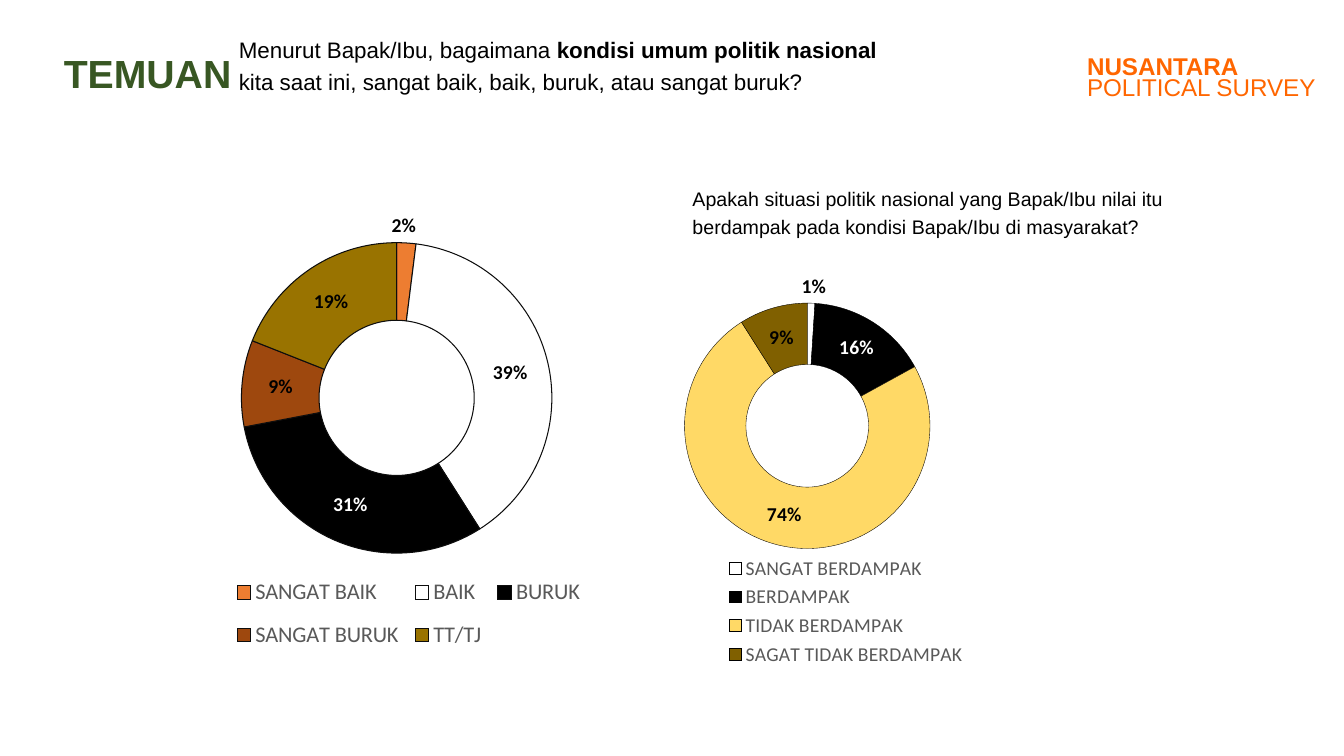
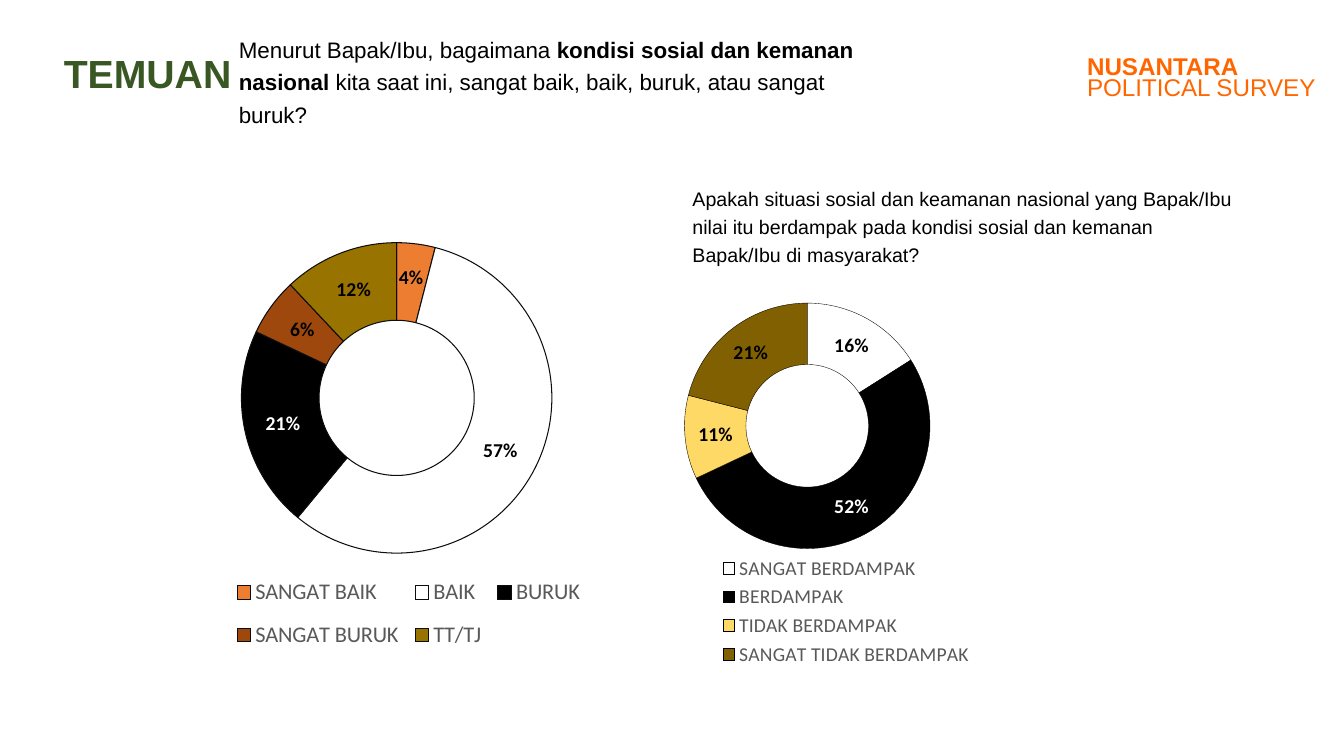
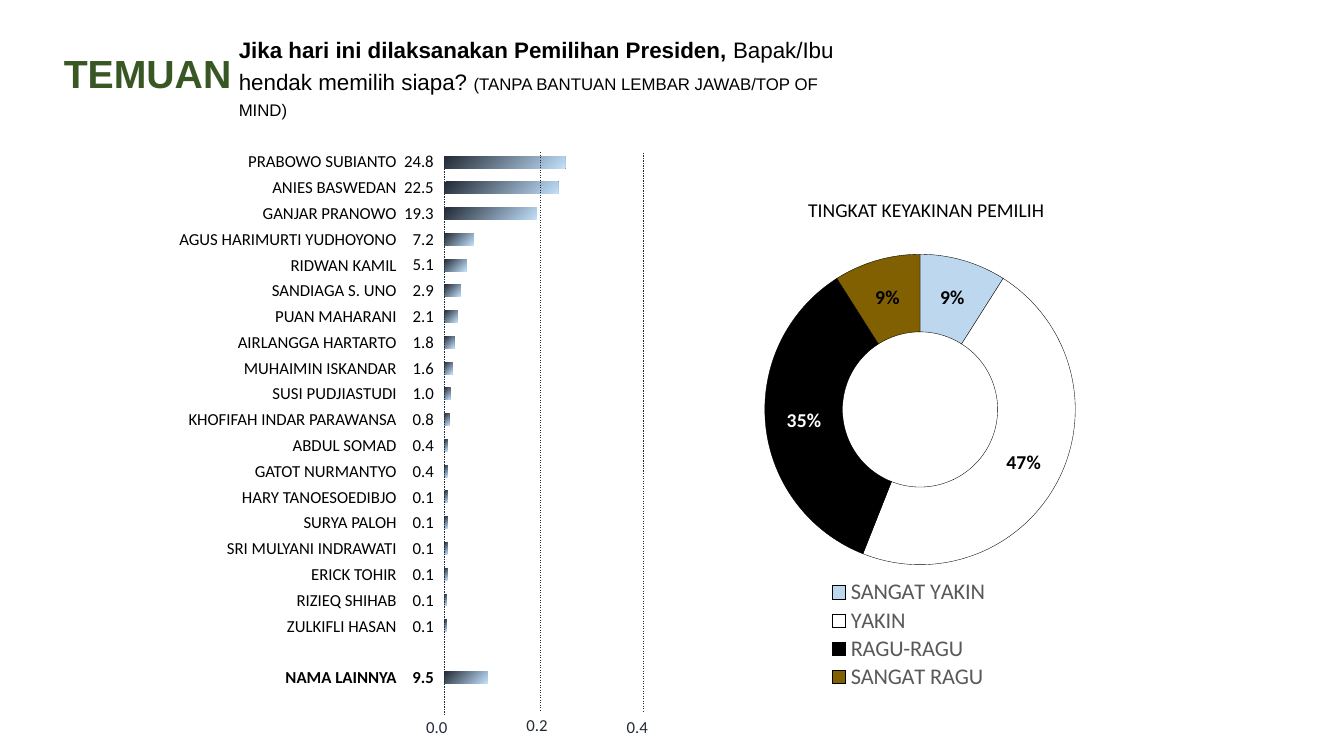
from lxml import etree
from pptx import Presentation
from pptx.chart.data import CategoryChartData
from pptx.dml.color import RGBColor
from pptx.enum.chart import XL_CHART_TYPE, XL_LEGEND_POSITION
from pptx.enum.dml import MSO_LINE
from pptx.enum.shapes import MSO_CONNECTOR, MSO_SHAPE
from pptx.enum.text import MSO_ANCHOR, MSO_AUTO_SIZE, PP_ALIGN
from pptx.oxml import parse_xml
from pptx.oxml.ns import nsdecls, qn
from pptx.util import Pt

DOUGHNUT = XL_CHART_TYPE.DOUGHNUT
TOP_LEGEND = XL_LEGEND_POSITION.TOP
DASH = MSO_LINE.DASH
STRAIGHT = MSO_CONNECTOR.STRAIGHT
RECT = MSO_SHAPE.RECTANGLE
TOP = MSO_ANCHOR.TOP
NO_FIT = MSO_AUTO_SIZE.NONE
LEFT, RIGHT = PP_ALIGN.LEFT, PP_ALIGN.RIGHT

BLACK = RGBColor(0x00, 0x00, 0x00)
WHITE = RGBColor(0xFF, 0xFF, 0xFF)
GREEN = RGBColor(0x38, 0x57, 0x23)
BRAND = RGBColor(0xFF, 0x66, 0x00)
GREY = RGBColor(0x59, 0x59, 0x59)
NAVY = RGBColor(0x22, 0x2A, 0x35)
INK = RGBColor(0x0D, 0x0D, 0x0D)
ORANGE = RGBColor(0xED, 0x7D, 0x31)
RUST = RGBColor(0x9E, 0x48, 0x0E)
OLIVE = RGBColor(0x99, 0x73, 0x00)
YELLOW = RGBColor(0xFF, 0xD9, 0x66)
BROWN = RGBColor(0x80, 0x60, 0x00)
SKY = RGBColor(0xBD, 0xD7, 0xEE)
PALE = RGBColor(0xCE, 0xE1, 0xF2)
LIGHT = RGBColor(0xB5, 0xD2, 0xEC)

HEAD, BODY = "Arial", "Calibri"
BAR_STOPS = [(0, PALE), (7, LIGHT), (100, NAVY)]
ROW_PITCH = 18.4
HEADER_BOX = (38.4, 18.7, 338, 54)

CONDITION = dict(
    cats=["SANGAT BAIK", "BAIK", "BURUK", "SANGAT BURUK", "TT/TJ"],
    fills=[ORANGE, WHITE, BLACK, RUST, OLIVE],
    line=(INK, 0.75), legend_size=16,
    plot=(0.182, 0.095, 0.576, 0.627), legend=(0.157, 0.736, 0.67, 0.2))
IMPACT = dict(
    fills=[WHITE, BLACK, YELLOW, BROWN],
    line=(BLACK, 0.25), legend_size=14,
    plot=(0.093, 0.089, 0.633, 0.573), legend=(0.15, 0.669, 0.72, 0.28))
CERTAINTY = dict(
    cats=["SANGAT YAKIN", "YAKIN", "RAGU-RAGU", "SANGAT RAGU"],
    fills=[SKY, WHITE, BLACK, BROWN],
    line=(BLACK, 0.25), legend_size=16,
    plot=(0.19, 0.088, 0.576, 0.627), legend=(0.292, 0.735, 0.33, 0.225))

CANDIDATES = [
    ("PRABOWO SUBIANTO", 24.8, 86.4), ("ANIES BASWEDAN", 22.5, 81.4),
    ("GANJAR PRANOWO", 19.3, 66.2), ("AGUS HARIMURTI YUDHOYONO", 7.2, 20.9),
    ("RIDWAN KAMIL", 5.1, 15.8), ("SANDIAGA S. UNO", 2.9, 11.5),
    ("PUAN MAHARANI", 2.1, 9.4), ("AIRLANGGA HARTARTO", 1.8, 7.2),
    ("MUHAIMIN ISKANDAR", 1.6, 5.8), ("SUSI PUDJIASTUDI", 1.0, 4.3),
    ("KHOFIFAH INDAR PARAWANSA", 0.8, 3.6), ("ABDUL SOMAD", 0.4, 2.5),
    ("GATOT NURMANTYO", 0.4, 2.5), ("HARY TANOESOEDIBJO", 0.1, 2.5),
    ("SURYA PALOH", 0.1, 2.5), ("SRI MULYANI INDRAWATI", 0.1, 2.5),
    ("ERICK TOHIR", 0.1, 2.5), ("RIZIEQ SHIHAB", 0.1, 1.8),
    ("ZULKIFLI HASAN", 0.1, 1.8)]
OTHERS = ("NAMA LAINNYA", 9.5, 31)


def write(p, text, size=16, font=HEAD, color=BLACK, bold=False):
    """Add one formatted run to a paragraph."""
    r = p.add_run()
    r.text = text
    r.font.size, r.font.name, r.font.bold = Pt(size), font, bold
    r.font.color.rgb = color


def place(sp, box):
    """Move a shape to a box and return its top-anchored text frame."""
    sp.left, sp.top, sp.width, sp.height = map(Pt, box)
    tf = sp.text_frame
    tf.word_wrap, tf.auto_size, tf.vertical_anchor = True, NO_FIT, TOP
    return tf


def add_text(s, box, runs, spacing=1.2, align=LEFT):
    """Add a text box with one paragraph made of (text, format) runs."""
    p = place(s.shapes.add_textbox(*map(Pt, box)), box).paragraphs[0]
    p.line_spacing, p.alignment = spacing, align
    for text, fmt in runs:
        write(p, text, **fmt)


def add_header(s, box, question, question_width):
    """Place the slide title and the survey question beside it."""
    x, y, w, h = box
    p = place(s.shapes.title, (x, y + 17, w, 32.4)).paragraphs[0]
    p.alignment, p.line_spacing = LEFT, 0.9
    write(p, "TEMUAN", size=28, color=GREEN, bold=True)
    add_text(s, (x + 125.1, y - 0.2, question_width, h), question)


def add_brand(s, box):
    """Place the two-line pollster name."""
    x, y, w, h = box
    for i, word in enumerate(["NUSANTARA", "POLITICAL SURVEY"]):
        add_text(s, (x, y + i * 14.7, w, h),
                 [(word, dict(size=17.3, color=BRAND, bold=i == 0))], 0.9)


def set_layout(parent, index, target=None, mode="edge", **lengths):
    """Give a chart part a manual layout."""
    for old in parent.findall(qn("c:layout")):
        parent.remove(old)
    layout = etree.Element(qn("c:layout"))
    manual = etree.SubElement(layout, qn("c:manualLayout"))
    values = {"layoutTarget": target} if target else {}
    values.update(xMode=mode, yMode=mode, **lengths)
    for tag, value in values.items():
        etree.SubElement(manual, qn("c:" + tag)).set("val", str(value))
    parent.insert(index, layout)


def set_flag(labels, tag, value):
    """Set a display flag of chart labels, adding it at the end if missing."""
    flag = labels.find(qn("c:" + tag))
    if flag is None:
        flag = etree.SubElement(labels, qn("c:" + tag))
    flag.set("val", value)


def add_doughnut(s, box, vals, cats, fills, line, legend_size, plot, legend,
                 raised=None):
    """Add a doughnut chart; raised is the offset of the first label."""
    data = CategoryChartData(number_format="0")
    data.categories = cats
    data.add_series("Series 1", vals)
    chart = s.shapes.add_chart(DOUGHNUT, *map(Pt, box), data).chart
    chart.has_title = False
    chart.font.size, chart.font.name = Pt(10), BODY
    chart.font.color.rgb = BLACK

    chart.has_legend = True
    chart.legend.position = TOP_LEGEND
    chart.legend.include_in_layout = False
    font = chart.legend.font
    font.size, font.name, font.color.rgb = Pt(legend_size), BODY, GREY
    keys = "xywh"
    set_layout(chart.legend._element, 1, **dict(zip(keys, legend)))
    area = chart._chartSpace.find(".//" + qn("c:plotArea"))
    set_layout(area, 0, "inner", **dict(zip(keys, plot)))

    chart.plots[0].vary_by_categories = True
    series = chart.plots[0].series[0]
    labels = series.data_labels
    labels.show_percentage, labels.show_value = True, False
    labels.number_format, labels.number_format_is_linked = "0%", False
    set_flag(labels._element, "showLeaderLines", "0")
    for i, fill in enumerate(fills):
        point = series.points[i]
        point.format.fill.solid()
        point.format.fill.fore_color.rgb = fill
        point.format.line.color.rgb = line[0]
        point.format.line.width = Pt(line[1])
        font = point.data_label.font
        font.size, font.name, font.bold = Pt(14), BODY, True
        font.color.rgb = WHITE if fill == BLACK else BLACK
    point_labels = labels._element.findall(qn("c:dLbl"))
    for label in point_labels:
        set_flag(label, "showVal", "0")
        set_flag(label, "showPercent", "1")
    if raised:
        set_layout(point_labels[0], 1, mode="factor", x=raised[0], y=raised[1])


def add_bar(s, box):
    """Add a bar shaded from dark at the top left to light."""
    sp = s.shapes.add_shape(RECT, *map(Pt, box))
    sp.shadow.inherit = False
    sp.line.fill.background()
    sp.fill.background()
    stops = "".join(
        f'<a:gs pos="{pos * 1000}"><a:srgbClr val="{color}"/></a:gs>'
        for pos, color in BAR_STOPS)
    gradient = parse_xml(
        f'<a:gradFill {nsdecls("a")} rotWithShape="1"><a:gsLst>{stops}</a:gsLst>'
        '<a:path path="circle"><a:fillToRect l="100000" t="100000"/></a:path>'
        '</a:gradFill>')
    props = sp._element.spPr
    props.replace(props.find(qn("a:noFill")), gradient)


def add_grid_line(s, x, top, height):
    """Add a thin dashed vertical line."""
    c = s.shapes.add_connector(STRAIGHT, Pt(x), Pt(top), Pt(x), Pt(top + height))
    c.line.color.rgb, c.line.width, c.line.dash_style = NAVY, Pt(0.25), DASH
    etree.SubElement(c._element.spPr, qn("a:effectLst"))


def fill_column(tf, entries):
    """Write right-aligned rows, the last one bold and set apart."""
    for i, entry in enumerate(entries):
        last = i == len(entries) - 1
        p = tf.add_paragraph() if i else tf.paragraphs[0]
        p.space_before, p.space_after = Pt(20 if last else 2), Pt(2)
        p.line_spacing, p.alignment = 1.0, RIGHT
        write(p, entry, size=12, font=BODY, bold=last)
        props = p._p.get_or_add_pPr()
        props.set("marL", "0")
        props.set("indent", "0")
        etree.SubElement(props, qn("a:buNone"))


def add_ranking(s, box):
    """Place the candidate list with its values, bars, grid lines and scale."""
    x, y, w, h = box
    zero = x + w
    rows = CANDIDATES + [OTHERS]
    names = place(s.placeholders[1], (x, y, w - 26.7, h))
    fill_column(names, [name for name, value, length in rows])
    value_box = (zero - 50.3, y, 50, h)
    values = place(s.shapes.add_textbox(*map(Pt, value_box)), value_box)
    fill_column(values, [f"{value:.1f}" for name, value, length in rows])
    for i, (name, value, length) in enumerate(rows):
        slot = i + 1 if i == len(CANDIDATES) else i
        add_bar(s, (zero, y + 7.2 + slot * ROW_PITCH, length, 8.6))
    for offset, top in ((0, 7.2), (68.5, 4.3), (141.9, 5)):
        add_grid_line(s, zero + offset, y + top, 400)
    for i, (label, top) in enumerate([("0.0", 404), ("0.2", 403), ("0.4", 404)]):
        add_text(s, (zero - 28 + i * 71.6, y + top, 37.4, 21.6),
                 [(label, dict(size=12, font=BODY, color=NAVY))], 1.0, RIGHT)


def add_condition_slide(prs, topic, vals, follow_up, impact, answers,
                        raised=(None, None)):
    """Build a slide with a condition chart and its impact chart."""
    s = prs.slides.add_slide(prs.slide_layouts[5])
    add_header(s, HEADER_BOX, [
        ("Menurut Bapak/Ibu, bagaimana ", {}),
        (topic + " ", dict(bold=True)),
        ("kita saat ini, sangat baik, baik, buruk, atau sangat buruk?", {})], 481)
    add_brand(s, (769.4, 35.7, 190, 32.4))
    add_doughnut(s, (102.4, 136.8, 385, 361), vals, raised=raised[0], **CONDITION)
    add_text(s, (487.6, 126.6, 401, 68), [(follow_up, dict(size=14))])
    add_doughnut(s, (463.2, 189.3, 277, 306), impact, answers, raised=raised[1],
                 **IMPACT)


def add_election_slide(prs):
    """Build the slide with the candidate ranking and voter certainty."""
    s = prs.slides.add_slide(prs.slide_layouts[1])
    add_header(s, HEADER_BOX, [
        ("Jika hari ini dilaksanakan Pemilihan Presiden, ", dict(bold=True)),
        ("Bapak/Ibu hendak memilih siapa? ", {}),
        ("(TANPA BANTUAN LEMBAR JAWAB/TOP OF MIND)", dict(size=12))], 458.6)
    add_ranking(s, (65, 104.3, 252.3, 393))
    add_doughnut(s, (473.2, 147.6, 385, 361), [9, 47, 35, 9], **CERTAINTY)
    add_text(s, (570.2, 134.6, 264, 27.4),
             [("TINGKAT KEYAKINAN PEMILIH", dict(size=14, font=BODY))])


def main():
    """Build and save the presentation."""
    prs = Presentation()
    prs.slide_width, prs.slide_height = Pt(960), Pt(540)
    add_condition_slide(
        prs, "kondisi umum politik nasional", [2, 39, 31, 9, 19],
        "Apakah situasi politik nasional yang Bapak/Ibu nilai itu berdampak "
        "pada kondisi Bapak/Ibu di masyarakat?", [1, 16, 74, 9],
        ["SANGAT BERDAMPAK", "BERDAMPAK", "TIDAK BERDAMPAK",
         "SAGAT TIDAK BERDAMPAK"], raised=((0, -0.11), (0.01, -0.11)))
    add_condition_slide(
        prs, "kondisi sosial dan kemanan nasional", [4, 57, 21, 6, 12],
        "Apakah situasi sosial dan keamanan nasional yang Bapak/Ibu nilai itu "
        "berdampak pada kondisi sosial dan kemanan Bapak/Ibu di masyarakat?",
        [16, 52, 11, 21],
        ["SANGAT BERDAMPAK", "BERDAMPAK", "TIDAK BERDAMPAK",
         "SANGAT TIDAK BERDAMPAK"], raised=((0, -0.01), (0, 0)))
    add_election_slide(prs)
    prs.save("out.pptx")


main()
